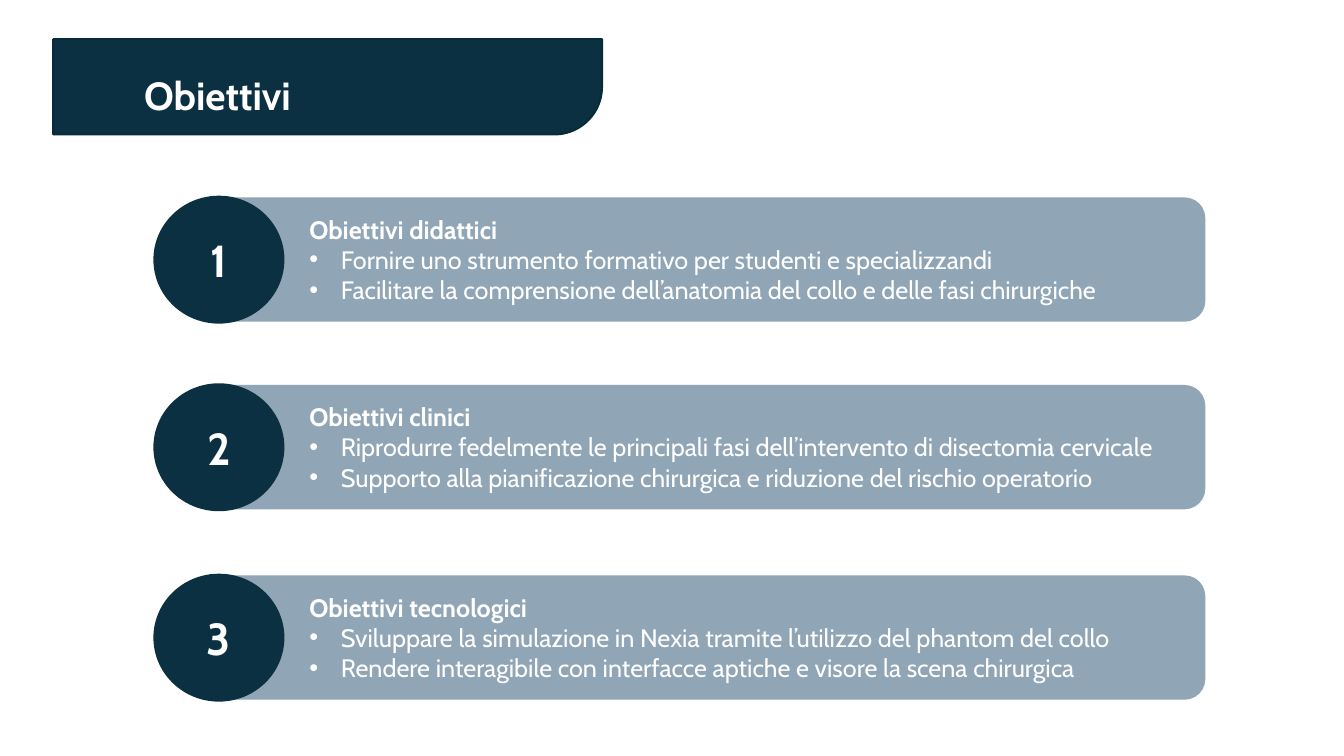
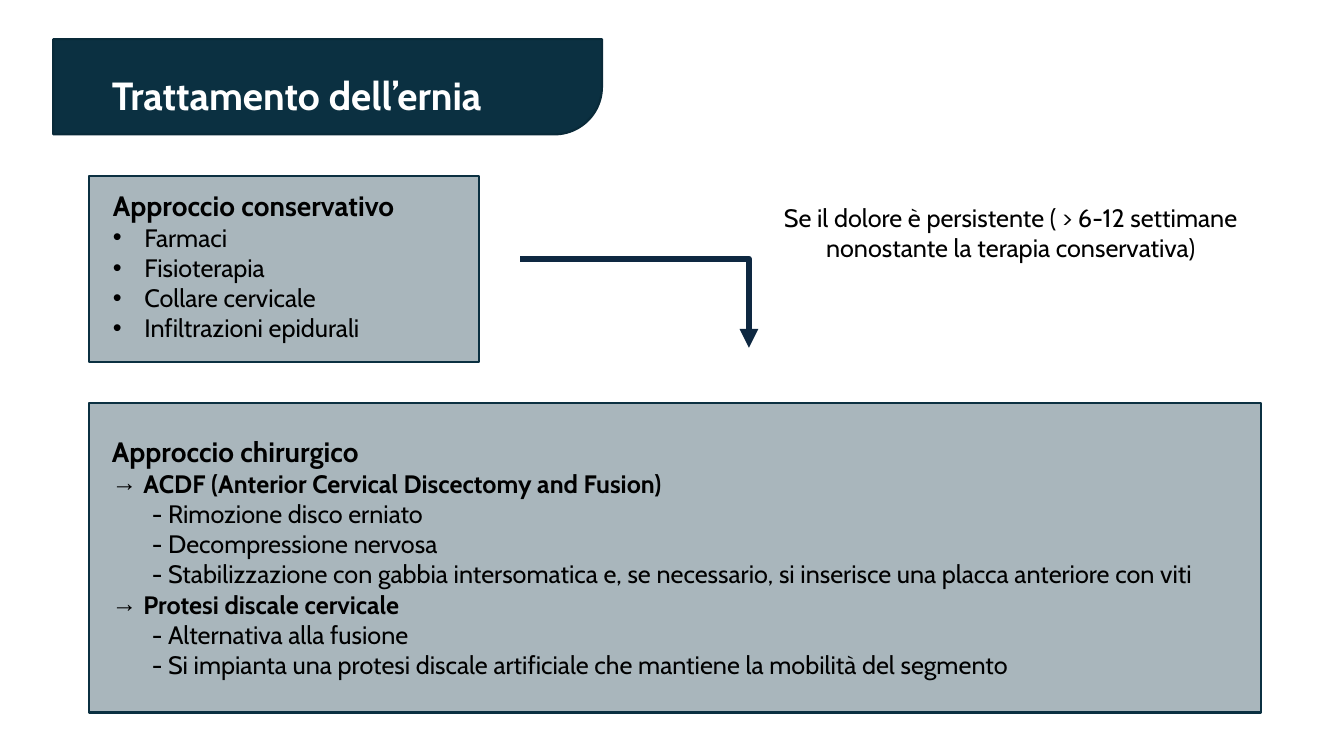
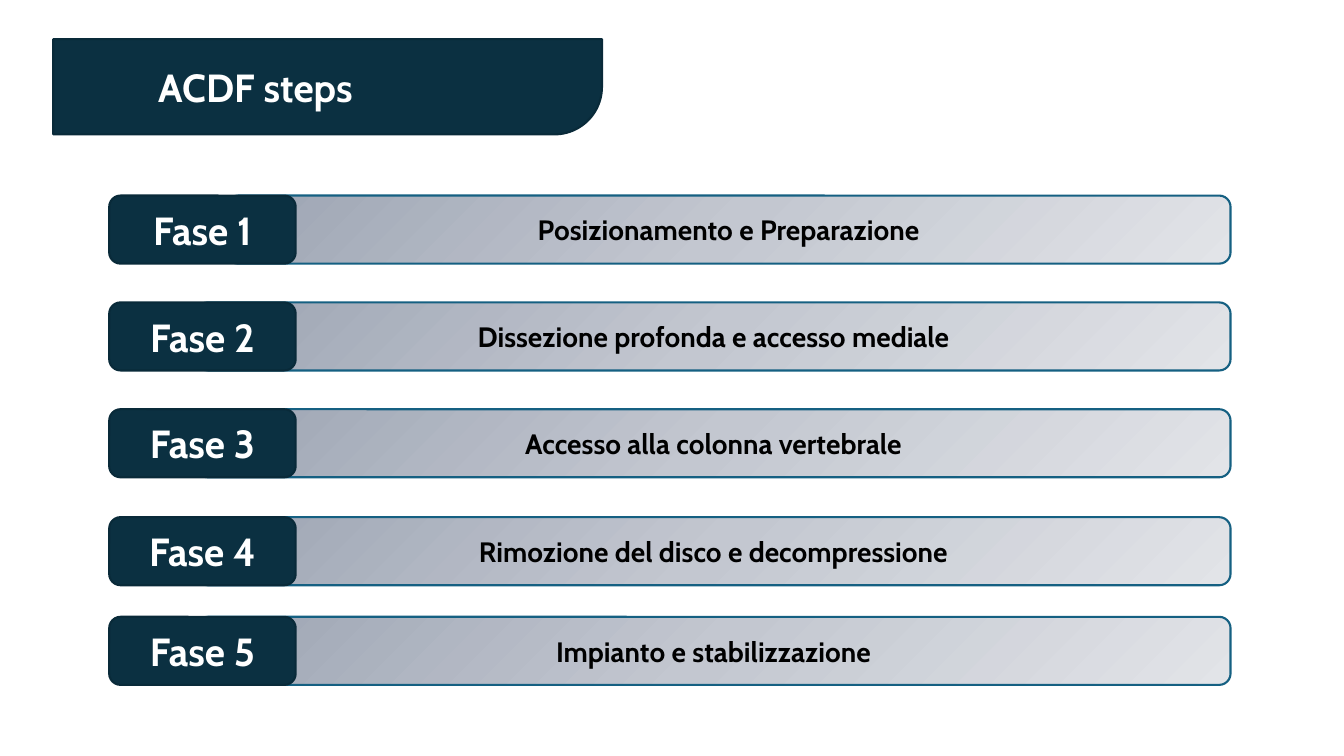
"""Build three slides on cervical hernia: goals, treatment and ACDF steps."""
from copy import deepcopy

from pptx import Presentation
from pptx.dml.color import RGBColor
from pptx.enum.shapes import MSO_CONNECTOR, MSO_SHAPE
from pptx.enum.text import MSO_ANCHOR, MSO_AUTO_SIZE, PP_ALIGN
from pptx.oxml.ns import qn
from pptx.oxml.xmlchemy import OxmlElement
from pptx.util import Pt

FONT = "Cabin"
COLORS = {
    "navy": "0B3041", "edge": "092A39", "blue": "154065", "teal": "156082",
    "arrow": "0E2841", "white": "FFFFFF", "black": "000000",
}
GRADIENT = [(0, "9CA4B3"), (0.5, "C3C7D0"), (1, "E2E4E8")]
INDENTS = {"•": 22.5, "→": 22.5, "-": 28.5}
LAYOUTS = {"title": 5, "two lists": 3, "four lists": 4}

GOALS = [
    (141, [("", "Obiettivi didattici"),
           ("•", "Fornire uno strumento formativo per studenti e specializzandi"),
           ("•", "Facilitare la comprensione dell’anatomia del collo e delle fasi chirurgiche")]),
    (275, [("", "Obiettivi clinici"),
           ("•", "Riprodurre fedelmente le principali fasi dell’intervento di disectomia cervicale"),
           ("•", "Supporto alla pianificazione chirurgica e riduzione del rischio operatorio")]),
    (411, [("", "Obiettivi tecnologici"),
           ("•", "Sviluppare la simulazione in Nexia tramite l’utilizzo del phantom del collo"),
           ("•", "Rendere interagibile con interfacce aptiche e visore la scena chirurgica")]),
]
CONDITION = "Se il dolore è persistente ( > 6-12 settimane nonostante la terapia conservativa)"
TREATMENTS = [
    ((63.4, 126, 278.6, 132.5), (73.4, 131, 258, 119),
     [("", "Approccio conservativo"),
      ("•", "Farmaci"),
      ("•", "Fisioterapia"),
      ("•", "Collare cervicale"),
      ("•", "Infiltrazioni epidurali")]),
    ((63.4, 288, 837.4, 221), (72.7, 306.7, 850, 184),
     [("", "Approccio chirurgico"),
      ("→", "ACDF (Anterior Cervical Discectomy and Fusion)"),
      ("-", "Rimozione disco erniato"),
      ("-", "Decompressione nervosa"),
      ("-", "Stabilizzazione con gabbia intersomatica e, se necessario, "
            "si inserisce una placca anteriore con viti"),
      ("→", "Protesi discale cervicale"),
      ("-", "Alternativa alla fusione"),
      ("-", "Si impianta una protesi discale artificiale che mantiene la mobilità del segmento")]),
]
STEPS = [
    (139.7, 162, "Posizionamento e Preparazione"),
    (216, 140.4, "Dissezione profonda e accesso mediale"),
    (292.3, 140.4, "Accesso alla colonna vertebrale"),
    (369.4, 140.4, "Rimozione del disco e decompressione"),
    (440.6, 140.4, "Impianto e stabilizzazione"),
]


def rgb(name):
    return RGBColor.from_string(COLORS[name])


def place(shape, box):
    shape.left, shape.top, shape.width, shape.height = map(Pt, box)


def style(paragraph, size, color, bold=False, align=PP_ALIGN.LEFT):
    paragraph.alignment = align
    font = paragraph.font
    font.name, font.size, font.bold = FONT, Pt(size), bold
    font.color.rgb = rgb(color)


def add_block(slide, kind, box, fill=None, alpha=None, line=None):
    shape = slide.shapes.add_shape(kind, *map(Pt, box))
    shape.shadow.inherit = False
    if fill:
        shape.fill.solid()
        shape.fill.fore_color.rgb = rgb(fill)
    if alpha:
        transparency = OxmlElement("a:alpha")
        transparency.set("val", str(alpha * 1000))
        shape.element.spPr.find(qn("a:solidFill"))[0].append(transparency)
    if line:
        shape.line.color.rgb = rgb(line)
        shape.line.width = Pt(1.5)
    else:
        shape.line.fill.background()
    return shape


def label(shape, text, size, color):
    frame = shape.text_frame
    frame.word_wrap = True
    frame.vertical_anchor = MSO_ANCHOR.MIDDLE
    frame.text = text
    style(frame.paragraphs[0], size, color, True, PP_ALIGN.CENTER)


def new_slide(presentation, layout, text, box, spacing=1.5):
    slide = presentation.slides.add_slide(presentation.slide_layouts[LAYOUTS[layout]])
    band = add_block(slide, MSO_SHAPE.ROUND_1_RECTANGLE, (38, 28, 392, 68), "navy", line="edge")
    band.adjustments[0] = 0.5
    band.element.spPr.find(qn("a:xfrm")).set("flipV", "1")
    title = slide.shapes.title
    slide.shapes.element.append(title.element)
    place(title, box)
    frame = title.text_frame
    frame.text = text
    frame.vertical_anchor = MSO_ANCHOR.TOP
    frame.auto_size = MSO_AUTO_SIZE.NONE
    frame.paragraphs[0].line_spacing = spacing
    style(frame.paragraphs[0], 28, "white", True)
    return slide


def set_bullet(paragraph, marker):
    properties = paragraph._p.get_or_add_pPr()
    indent = Pt(INDENTS.get(marker, 0))
    hanging = marker in ("•", "→")
    properties.set("marL", str(indent))
    properties.set("indent", str(-indent if hanging else 0))
    if hanging:
        font = OxmlElement("a:buFont")
        font.set("typeface", "Arial")
        bullet = OxmlElement("a:buChar")
        bullet.set("char", marker)
        properties.extend([font, bullet])
    else:
        properties.append(OxmlElement("a:buNone"))


def fill_list(slide, placeholder, box, items, heading_size, color):
    slide.shapes.element.append(placeholder.element)
    place(placeholder, box)
    frame = placeholder.text_frame
    frame.vertical_anchor = MSO_ANCHOR.TOP
    frame.auto_size = MSO_AUTO_SIZE.NONE
    for index, (marker, text) in enumerate(items):
        paragraph = frame.add_paragraph() if index else frame.paragraphs[0]
        paragraph.text = f"- {text}" if marker == "-" else text
        set_bullet(paragraph, marker)
        paragraph.space_before = Pt(0)
        style(paragraph, 18 if marker else heading_size, color, marker in ("", "→"))


def body_placeholders(slide):
    return [shape for shape in slide.placeholders if shape.placeholder_format.idx]


def build_goals(presentation):
    slide = new_slide(presentation, "four lists", "Obiettivi", (95.8, 30.2, 276, 52))
    bodies = body_placeholders(slide)
    for number, ((top, items), body) in enumerate(zip(GOALS, bodies), 1):
        add_block(slide, MSO_SHAPE.ROUNDED_RECTANGLE, (144, top, 717, 88.8), "blue", 47)
        circle = add_block(slide, MSO_SHAPE.OVAL, (109.6, top - 1.2, 93.6, 91.4), "navy")
        label(circle, str(number), 32, "white")
        fill_list(slide, body, (213.8, top + 8.2, 677, 72.7), items, 18, "white")
    for body in bodies[len(GOALS):]:
        slide.shapes.element.remove(body.element)


def add_elbow_arrow(slide, start, end):
    arrow = slide.shapes.add_connector(MSO_CONNECTOR.ELBOW, *map(Pt, start + end))
    arrow.line.color.rgb = rgb("arrow")
    arrow.line.width = Pt(4.5)
    properties = arrow.element.spPr
    guide = OxmlElement("a:gd")
    guide.set("name", "adj1")
    guide.set("fmla", "val 100000")
    properties.find(qn("a:prstGeom")).find(qn("a:avLst")).append(guide)
    head = OxmlElement("a:tailEnd")
    head.set("type", "triangle")
    properties.find(qn("a:ln")).append(head)
    properties.append(OxmlElement("a:effectLst"))


def build_treatment(presentation):
    slide = new_slide(presentation, "two lists", "Trattamento dell’ernia", (72.7, 30.2, 299, 52))
    for (panel, box, items), body in zip(TREATMENTS, body_placeholders(slide)):
        add_block(slide, MSO_SHAPE.RECTANGLE, panel, "navy", 35, "navy")
        fill_list(slide, body, box, items, 20, "black")
    add_elbow_arrow(slide, (371.5, 185), (535, 248.4))
    condition = slide.shapes.add_textbox(*map(Pt, (535, 141, 373.7, 51)))
    condition.text_frame.word_wrap = True
    condition.text_frame.text = CONDITION
    style(condition.text_frame.paragraphs[0], 18, "black", align=PP_ALIGN.CENTER)


def apply_gradient(shape):
    shape.fill.gradient()
    shape.fill.gradient_angle = 315
    stops = shape.element.spPr.find(qn("a:gradFill")).find(qn("a:gsLst"))
    stops.insert(1, deepcopy(stops[0]))
    for stop, (position, color) in zip(shape.fill.gradient_stops, GRADIENT):
        stop.position = position
        stop.color.rgb = RGBColor.from_string(color)


def build_steps(presentation):
    slide = new_slide(presentation, "title", "ACDF steps", (105.8, 41.8, 256, 41), 1)
    right, height = 879, 48.6
    for number, (top, left, text) in enumerate(STEPS, 1):
        bar = add_block(slide, MSO_SHAPE.ROUNDED_RECTANGLE,
                        (left, top, right - left, height), line="teal")
        apply_gradient(bar)
        label(bar, text, 20, "black")
        tab = add_block(slide, MSO_SHAPE.ROUNDED_RECTANGLE,
                        (78, top, 133.2, height), "navy", line="edge")
        label(tab, f"Fase {number}", 28, "white")


def main():
    presentation = Presentation()
    presentation.slide_width, presentation.slide_height = Pt(960), Pt(540)
    build_goals(presentation)
    build_treatment(presentation)
    build_steps(presentation)
    presentation.save("out.pptx")


if __name__ == "__main__":
    main()
